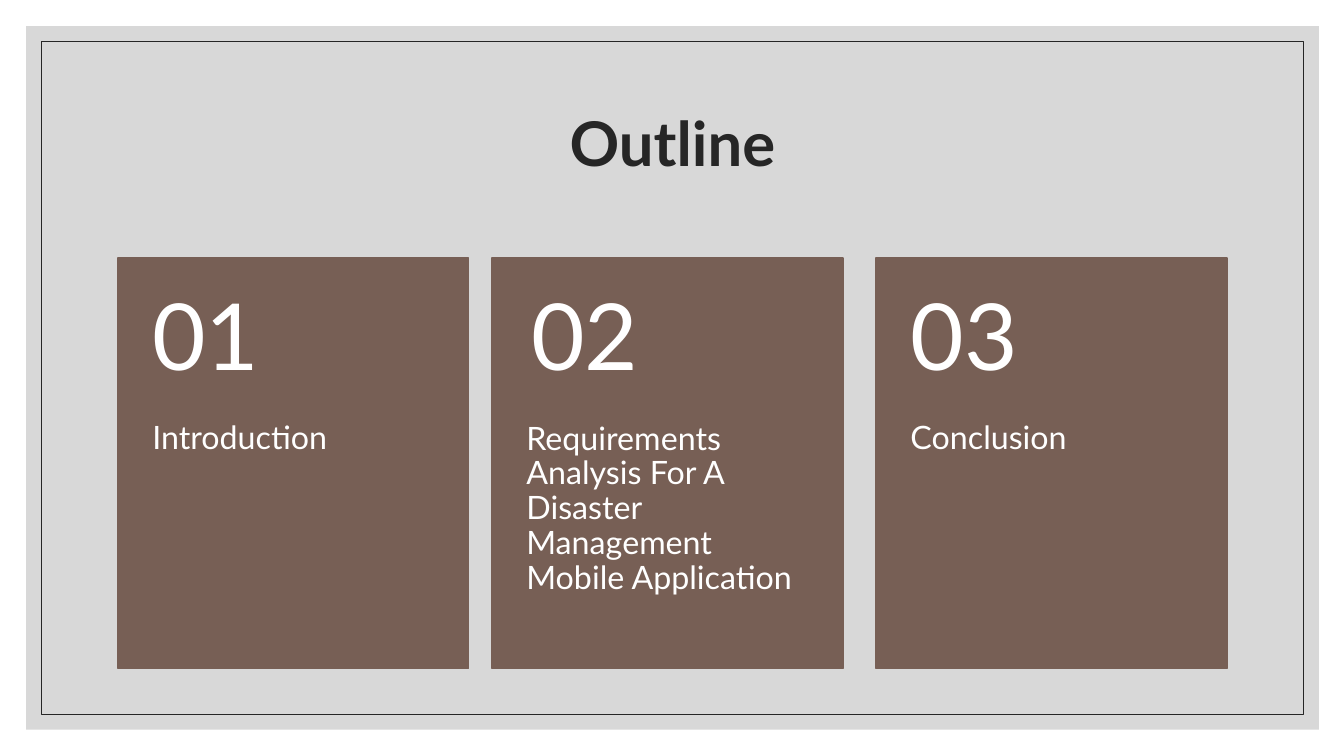
from lxml import etree
from pptx import Presentation
from pptx.dml.color import RGBColor
from pptx.enum import shapes, text
from pptx.oxml.ns import qn
from pptx.util import Inches, Pt


def add_rect(box, fill=None, line=None, width=1):
    sp = slide.shapes.add_shape(shapes.MSO_SHAPE.RECTANGLE, *map(Inches, box))
    sp.shadow.inherit = False
    if fill:
        sp.fill.solid()
        sp.fill.fore_color.rgb = RGBColor.from_string(fill)
    else:
        sp.fill.background()
    if line:
        sp.line.color.rgb = RGBColor.from_string(line)
        sp.line.width = Pt(width)
    else:
        sp.line.fill.background()
    return sp


def add_label(box, label, size, color, insets, middle=True):
    tf = slide.shapes.add_textbox(*map(Inches, box)).text_frame
    tf.word_wrap = True
    tf.margin_left, tf.margin_top, tf.margin_right, tf.margin_bottom = map(Inches, insets)
    tf.vertical_anchor = text.MSO_ANCHOR.MIDDLE if middle else text.MSO_ANCHOR.TOP
    p = tf.paragraphs[0]
    p.text = label
    p.line_spacing = 0.9
    font = p.runs[0].font
    font.name = "Lato"
    font.size = Pt(size)
    font.color.rgb = RGBColor.from_string(color)
    return p


prs = Presentation()
prs.slide_width, prs.slide_height = Inches(13.33), Inches(7.5)
slide = prs.slides.add_slide(prs.slide_layouts[6])

# Translucent grey panel and thin frame
panel = add_rect((0.26, 0.26, 12.82, 6.98), fill="BFBFBF")
panel_color = panel.fill._xPr.find(qn("a:solidFill"))[0]
etree.SubElement(panel_color, qn("a:alpha"), val="60000")
add_rect((0.41, 0.41, 12.52, 6.68), line="262626", width=0.5)

# Title
p = add_label((1.17, 0.7, 11, 1.5), "Outline", 44, "262626", (0.1, 0.05, 0.1, 0.05))
p.alignment = text.PP_ALIGN.CENTER
p.runs[0].font.bold = True

# Numbered cards: card left, number left, number, topic
cards = [
    (1.17, 1.17, "01", "Introduction"),
    (4.88, 4.93, "02", "Requirements Analysis For A Disaster Management Mobile Application"),
    (8.69, 8.69, "03", "Conclusion"),
]
top, width, number_height, topic_height = 2.56, 3.48, 1.63, 2.44
for left, number_left, number, topic in cards:
    add_rect((left, top, width, number_height + topic_height), "775F55", "775F55")
    add_label((left, top + number_height, width, topic_height), topic, 23, "FFFFFF",
              (0.34, 0, 0.34, 0.36), middle=False)
    add_label((number_left, top, width, number_height), number, 66, "FFFFFF",
              (0.34, 0.18, 0.34, 0.18))

prs.save("out.pptx")
